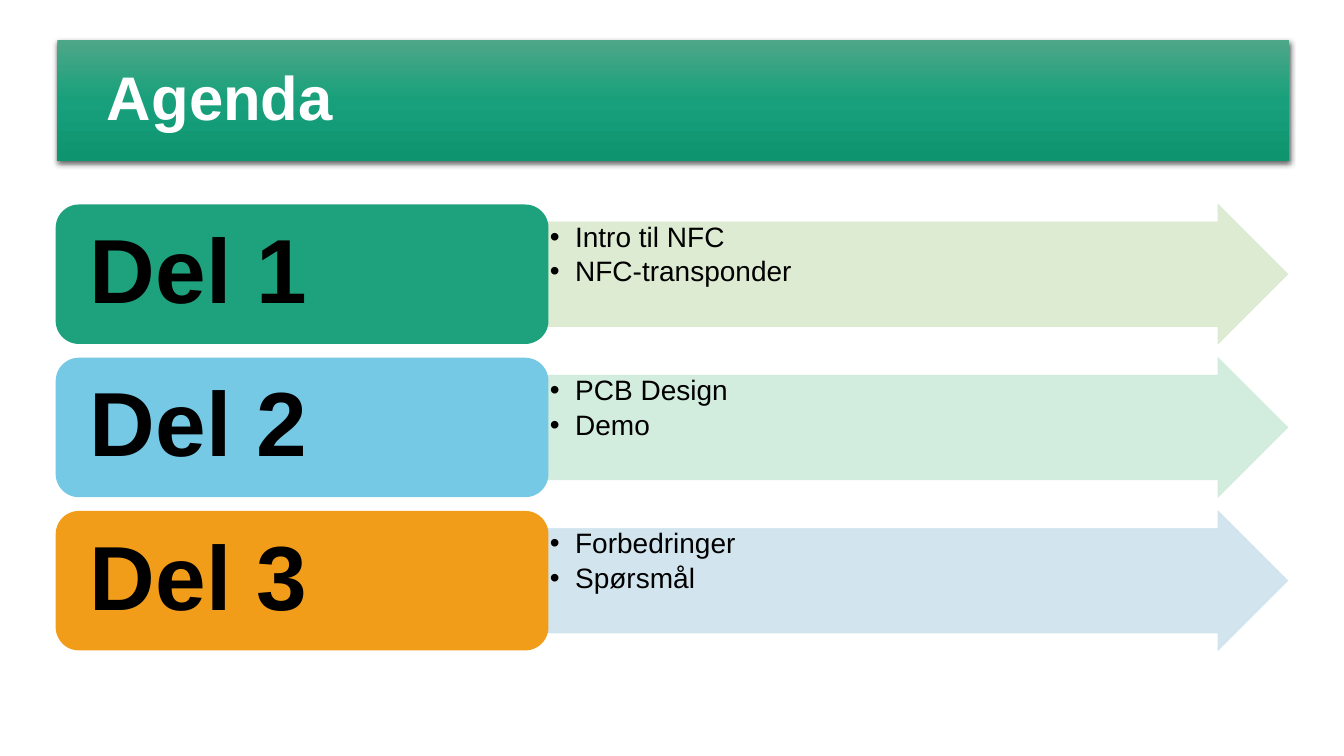
import pptx
import pptx.dml.color
import pptx.enum.shapes
import pptx.enum.text
import pptx.oxml
import pptx.oxml.ns
import pptx.util

Pt = pptx.util.Pt
RGBColor = pptx.dml.color.RGBColor
MSO_SHAPE = pptx.enum.shapes.MSO_SHAPE
MSO_ANCHOR = pptx.enum.text.MSO_ANCHOR
PP_ALIGN = pptx.enum.text.PP_ALIGN
qn = pptx.oxml.ns.qn

FONT = "Arial"
WHITE = RGBColor(0xFF, 0xFF, 0xFF)
BLACK = RGBColor(0x00, 0x00, 0x00)
BANNER_TOP = RGBColor(0x4E, 0xA7, 0x88)
BANNER_MIDDLE = RGBColor(0x17, 0xA0, 0x7B)
BANNER_BOTTOM = RGBColor(0x0F, 0x94, 0x70)
GREEN = RGBColor(0x1E, 0xA1, 0x7D)
BLUE = RGBColor(0x75, 0xC9, 0xE5)
ORANGE = RGBColor(0xF1, 0x9D, 0x19)
PALE_OLIVE = RGBColor(0xDA, 0xE9, 0xCF)
PALE_GREEN = RGBColor(0xCE, 0xEB, 0xDB)
PALE_BLUE = RGBColor(0xCE, 0xE3, 0xED)

PARTS = [
    ("Del 1", ["Intro til NFC", "NFC-transponder"], GREEN, PALE_OLIVE),
    ("Del 2", ["PCB Design", "Demo"], BLUE, PALE_GREEN),
    ("Del 3", ["Forbedringer", "Spørsmål"], ORANGE, PALE_BLUE),
]
LABEL_LEFT, LABEL_WIDTH = 39.8, 352
ARROW_WIDTH = 528
FIRST_TOP, ROW_HEIGHT, ROW_PITCH = 146.1, 99.6, 109.44


def add_xml(parent, xml):
    namespace = pptx.oxml.ns.nsdecls("a")
    parent.append(pptx.oxml.parse_xml(xml.replace(">", f" {namespace}>", 1)))


def set_insets(frame, horizontal, vertical):
    frame.margin_left = frame.margin_right = Pt(horizontal)
    frame.margin_top = frame.margin_bottom = Pt(vertical)


def format_paragraph(paragraph, size, color, bold=False, space_after=0):
    paragraph.alignment = PP_ALIGN.LEFT
    paragraph.line_spacing = 0.9
    paragraph.space_before = Pt(0)
    paragraph.space_after = Pt(space_after)
    for run in paragraph.runs:
        run.font.name = FONT
        run.font.size = Pt(size)
        run.font.bold = bold
        run.font.color.rgb = color


def format_title(title):
    title.left, title.top = Pt(41), Pt(28.8)
    title.width, title.height = Pt(880), Pt(86.4)
    properties = title._element.spPr
    add_xml(properties, f"""<a:gradFill rotWithShape="1"><a:gsLst>
        <a:gs pos="0"><a:srgbClr val="{BANNER_TOP}"/></a:gs>
        <a:gs pos="50000"><a:srgbClr val="{BANNER_MIDDLE}"/></a:gs>
        <a:gs pos="100000"><a:srgbClr val="{BANNER_BOTTOM}"/></a:gs>
        </a:gsLst><a:lin ang="5400000" scaled="0"/></a:gradFill>""")
    add_xml(properties, f"""<a:effectLst><a:outerShdw blurRad="{Pt(4.5)}"
        dist="{Pt(1.5)}" dir="5400000" rotWithShape="0"><a:srgbClr val="{BLACK}">
        <a:alpha val="63000"/></a:srgbClr></a:outerShdw></a:effectLst>""")
    title.text_frame.text = "Agenda"
    title.text_frame.vertical_anchor = MSO_ANCHOR.MIDDLE
    heading = title.text_frame.paragraphs[0]
    heading._p.get_or_add_pPr().set("marL", str(Pt(28.2)))
    format_paragraph(heading, 44, WHITE, bold=True)


def add_block(slide, kind, left, top, width, color):
    block = slide.shapes.add_shape(kind, Pt(left), Pt(top), Pt(width), Pt(ROW_HEIGHT))
    block.shadow.inherit = False
    block.fill.solid()
    block.fill.fore_color.rgb = color
    block.text_frame.word_wrap = True
    return block


def add_topics_arrow(slide, top, topics, color):
    arrow = add_block(slide, MSO_SHAPE.RIGHT_ARROW, LABEL_LEFT + LABEL_WIDTH, top,
                      ARROW_WIDTH, color)
    arrow.adjustments[0], arrow.adjustments[1] = 0.75, 0.5
    arrow.line.color.rgb = color
    arrow.line.width = Pt(0.5)
    for paint in arrow._element.spPr.iter(qn("a:srgbClr")):
        add_xml(paint, '<a:alpha val="90000"></a:alpha>')
    frame = arrow.text_frame
    set_insets(frame, 1, 1)
    frame.vertical_anchor = MSO_ANCHOR.TOP
    frame.text = "\n".join(topics)
    for topic in frame.paragraphs:
        settings = topic._p.get_or_add_pPr()
        settings.set("marL", str(Pt(18)))
        settings.set("indent", str(Pt(-18)))
        add_xml(settings, '<a:buFont typeface="Arial"></a:buFont>')
        add_xml(settings, '<a:buChar char="•"></a:buChar>')
        format_paragraph(topic, 20, BLACK, space_after=3)


def add_label(slide, top, text, color):
    label = add_block(slide, MSO_SHAPE.ROUNDED_RECTANGLE, LABEL_LEFT, top,
                      LABEL_WIDTH, color)
    label.line.fill.background()
    frame = label.text_frame
    set_insets(frame, 19.5, 9.75)
    frame.vertical_anchor = MSO_ANCHOR.MIDDLE
    frame.text = text
    format_paragraph(frame.paragraphs[0], 65, BLACK, bold=True)


def main():
    deck = pptx.Presentation()
    deck.slide_width, deck.slide_height = Pt(960), Pt(540)
    slide = deck.slides.add_slide(deck.slide_layouts[5])
    format_title(slide.shapes.title)
    for row, (name, topics, label_color, arrow_color) in enumerate(PARTS):
        top = FIRST_TOP + row * ROW_PITCH
        add_topics_arrow(slide, top, topics, arrow_color)
        add_label(slide, top, name, label_color)
    deck.save("out.pptx")


if __name__ == "__main__":
    main()
